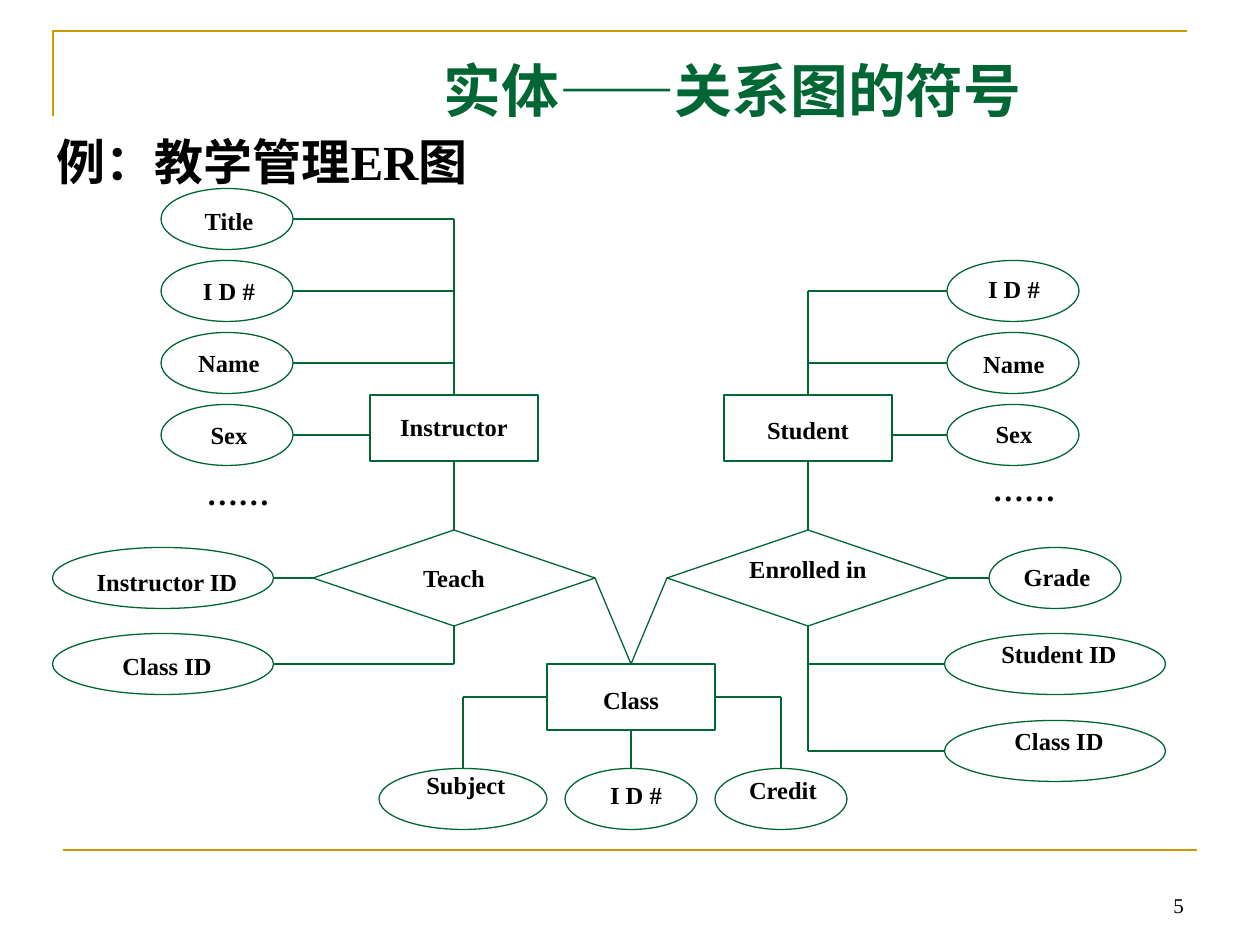
import pptx
import pptx.util
import pptx.dml.color
import pptx.enum.shapes
import pptx.enum.text
import pptx.oxml
import pptx.oxml.ns

Kind = pptx.enum.shapes.MSO_SHAPE
Align = pptx.enum.text.PP_ALIGN
Anchor = pptx.enum.text.MSO_ANCHOR

THEME = {
    "green": "006633", "gold": "CC9900", "ink": "000000",
    "serif": "Times New Roman", "sans": "Arial",
    "title": 33, "lead": 28, "dots": 18, "label": 14, "page": 12,
    "thin": 0.75, "rule": 1.5,
}

TITLE = [("实体", "serif"), ("——", "sans"), ("关系图的符号", "serif")]
LEAD = "例：教学管理ER图"
PAGE = "5"
DOTS = [(185, 469), (971, 465)]

LEFT, RIGHT, MID = 454, 808, 631      # centre lines of the diagram
ROWS = [219, 291, 363, 435]           # attribute rows at the top
LOW = [578, 664, 751]                 # relation row and the rows below it
FOOT, SIDE = 799, 697                 # class attributes, class centre
ENTITY = (168, 66)
BOND = (282, 96)
OVAL = 61
SMALL, MEDIUM, WIDE = 132, 168, 221

# name, centre x, centre y, line spacing
ENTITIES = [
    ("Instructor", LEFT, 428, 1.5),
    ("Student", RIGHT, 428, 1.6),
    ("Class", MID, SIDE, 1.65),
]
BONDS = [("Teach", LEFT, LOW[0], 1.3), ("Enrolled in", RIGHT, LOW[0], 1)]

# name, centre x, centre y, width, label shift x, label shift y, spacing, link end
ATTRS = [
    ("Title", 227, ROWS[0], SMALL, 2, 6, 1.35, (LEFT, ROWS[0])),
    ("I D #", 227, ROWS[1], SMALL, 2, 6, 1.3, (LEFT, ROWS[1])),
    ("Name", 227, ROWS[2], SMALL, 2, 6, 1.3, (LEFT, ROWS[2])),
    ("Sex", 227, ROWS[3], SMALL, 2, 6, 1.3, (370, ROWS[3])),
    ("I D #", 1013, ROWS[1], SMALL, 1, 1, 1.4, (RIGHT, ROWS[1])),
    ("Name", 1013, ROWS[2], SMALL, 1, 1, 1.5, (RIGHT, ROWS[2])),
    ("Sex", 1013, ROWS[3], SMALL, 1, 2, 1.4, (892, ROWS[3])),
    ("Instructor ID", 163, LOW[0], WIDE, 4, 10, 1.3, ("Teach", 1)),
    ("Class ID", 163, LOW[1], WIDE, 4, 5, 1.4, (LEFT, LOW[1])),
    ("Grade", 1055, LOW[0], SMALL, 2, 5, 1.3, ("Enrolled in", 3)),
    ("Student ID", 1055, LOW[1], WIDE, 4, 5, 1, (RIGHT, LOW[1])),
    ("Class ID", 1055, LOW[2], WIDE, 4, 5, 1, (RIGHT, LOW[2])),
    ("Subject", 463, FOOT, MEDIUM, 3, 1, 1, (463, SIDE)),
    ("I D #", MID, FOOT, SMALL, 5, -3, 1.45, ("Class", 2)),
    ("Credit", 781, FOOT, SMALL, 2, 5, 1, (781, SIDE)),
]

# each end is a point or a (name, side) pair
LINKS = [
    (("Instructor", 2), ("Teach", 0)),
    (("Student", 2), ("Enrolled in", 0)),
    (("Teach", 3), ("Class", 0)),
    (("Enrolled in", 1), ("Class", 0)),
    ((LEFT, ROWS[0]), ("Instructor", 0)),
    ((RIGHT, ROWS[1]), ("Student", 0)),
    (("Teach", 2), (LEFT, LOW[1])),
    (("Enrolled in", 2), (RIGHT, LOW[2])),
    (("Class", 1), (463, SIDE)),
    (("Class", 3), (781, SIDE)),
]


def px(n):
    return pptx.util.Emu(round(n * 914400 / 126))


def hue(key):
    return pptx.dml.color.RGBColor.from_string(THEME[key])


def stroke(shape, tint="green", size="thin"):
    shape.line.color.rgb = hue(tint)
    shape.line.width = pptx.util.Pt(THEME[size])


def write(frame, runs, size, tint="ink", bold=True, align=Align.CENTER,
          space=1, inset=(2, 2), anchor=Anchor.TOP):
    frame.word_wrap = True
    frame.auto_size = pptx.enum.text.MSO_AUTO_SIZE.NONE
    frame.vertical_anchor = anchor
    frame.margin_left = frame.margin_right = px(inset[0])
    frame.margin_top = frame.margin_bottom = px(inset[1])
    para = frame.paragraphs[0]
    para.alignment = align
    para.line_spacing = float(space)
    for text, face in runs:
        run = para.add_run()
        run.text = text
        run.font.name = THEME[face]
        run.font.size = pptx.util.Pt(THEME[size])
        run.font.bold = bold
        run.font.color.rgb = hue(tint)


def note(text, box, size="label", **style):
    area = slide.shapes.add_textbox(*map(px, box))
    write(area.text_frame, [(text, "serif")], size, **style)


def draw(kind, x, y, w, h):
    """Add an outlined shape centred on x, y."""
    shape = slide.shapes.add_shape(
        kind, px(x - w / 2), px(y - h / 2), px(w), px(h))
    shape.shadow.inherit = False
    shape.fill.background()
    stroke(shape)
    return shape


def spot(end):
    """Turn a link end into a point in px."""
    if end[0] not in nodes:
        return end
    _, x, y, w, h = nodes[end[0]]
    return [(x, y - h / 2), (x - w / 2, y),
            (x, y + h / 2), (x + w / 2, y)][end[1]]


def link(start, stop, tint="green", size="thin"):
    wire = slide.shapes.add_connector(
        pptx.enum.shapes.MSO_CONNECTOR.STRAIGHT,
        *map(px, (*spot(start), *spot(stop))))
    stroke(wire, tint, size)
    props = wire._element.spPr
    props.append(pptx.oxml.parse_xml(
        "<a:effectLst %s/>" % pptx.oxml.ns.nsdecls("a")))
    if start[0] in nodes:
        wire.begin_connect(nodes[start[0]][0], start[1])
    if stop[0] in nodes:
        wire.end_connect(nodes[stop[0]][0], stop[1])


deck = pptx.Presentation()
deck.slide_width, deck.slide_height = px(1260), px(945)
slide = deck.slides.add_slide(deck.slide_layouts[5])
nodes = {}

path = slide.shapes.build_freeform(px(53), px(116), scale=1.0)
path.add_line_segments([(px(53), px(31)), (px(1187), px(31))], close=False)
corner = path.convert_to_shape()
corner.shadow.inherit = False
corner.fill.background()
stroke(corner, "gold", "rule")
link((63, 850), (1197, 850), "gold", "rule")

title = slide.shapes.title
title.left, title.top, title.width, title.height = map(px, (431, 45, 1032, 88))
write(title.text_frame, TITLE, "title", tint="green", align=Align.LEFT,
      inset=(13, 6), anchor=Anchor.MIDDLE)
note(LEAD, (44, 125, 528, 72), "lead", align=Align.LEFT, inset=(13, 6))
note(PAGE, (903, 861, 294, 63), "page", bold=False, align=Align.RIGHT,
     inset=(13, 6), anchor=Anchor.BOTTOM)
for x, y in DOTS:
    note("……", (x, y, 106, 48), "dots", inset=(2, 5))

for name, x, y, space in ENTITIES:
    shape = draw(Kind.RECTANGLE, x, y, *ENTITY)
    write(shape.text_frame, [(name, "serif")], "label", space=space)
    nodes[name] = (shape, x, y, *ENTITY)
for name, x, y, space in BONDS:
    nodes[name] = (draw(Kind.DIAMOND, x, y, *BOND), x, y, *BOND)
    note(name, (x - 99, y - 26, 198, 48), space=space)

for name, x, y, w, dx, dy, space, end in ATTRS:
    wide = w - 32
    note(name, (x + dx - wide / 2, y + dy - OVAL / 2, wide, 54),
         space=space, inset=(2, 1))
    draw(Kind.OVAL, x, y, w, OVAL)
    goal = spot(end)
    if goal[0] == x:
        edge = (x, y - OVAL / 2)
    else:
        edge = (x + (w / 2 if goal[0] > x else -w / 2), y)
    link(edge, end)

for start, stop in LINKS:
    link(start, stop)

deck.save("out.pptx")
